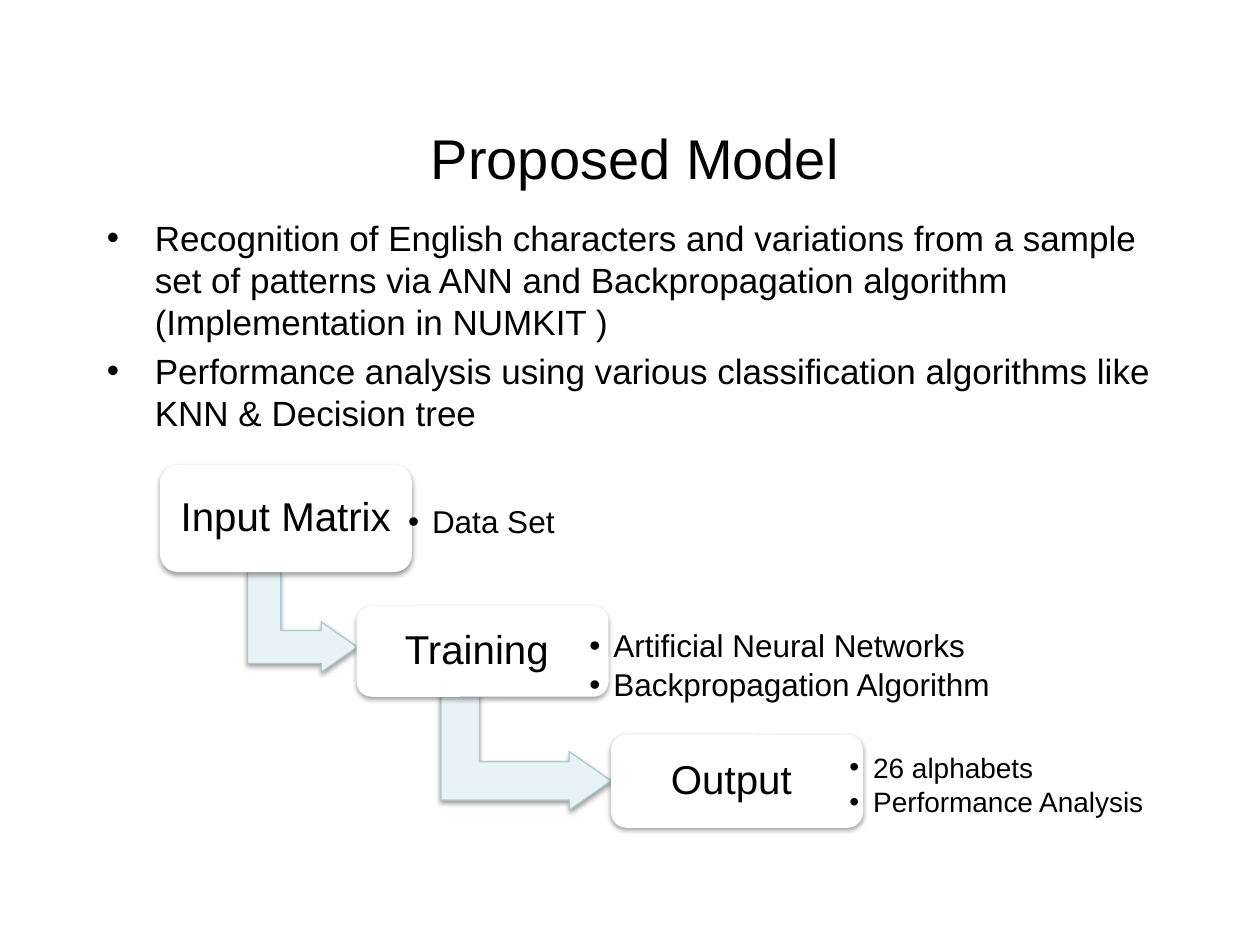
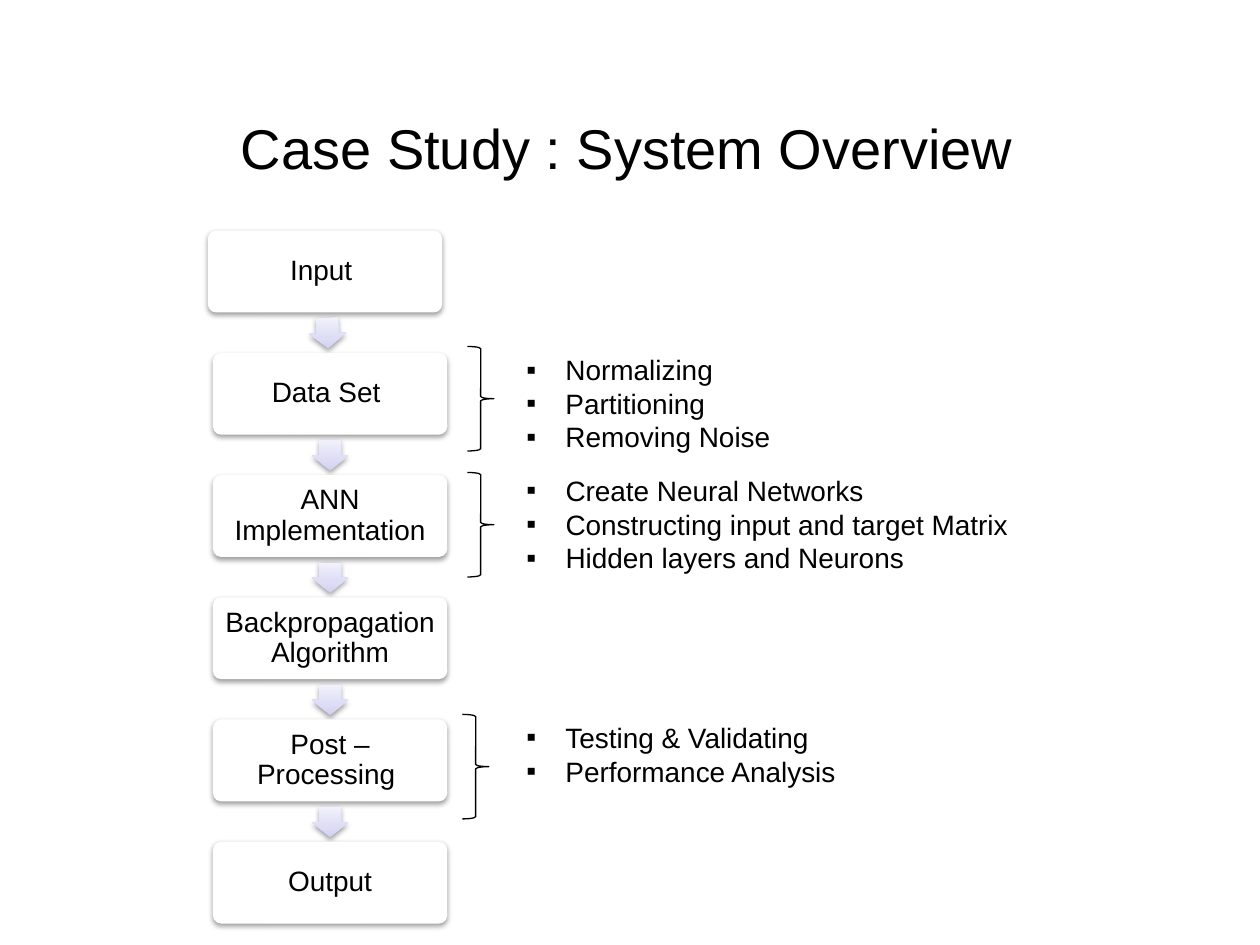
from dataclasses import dataclass
from math import atan2, degrees

from lxml.etree import SubElement
from pptx import Presentation
from pptx.dml.color import RGBColor
from pptx.enum.shapes import MSO_SHAPE as Preset
from pptx.enum.text import MSO_ANCHOR as Anchor
from pptx.enum.text import MSO_AUTO_SIZE as AutoSize
from pptx.enum.text import PP_ALIGN as Align
from pptx.oxml.ns import qn
from pptx.util import Inches, Pt


@dataclass(frozen=True)
class Theme:
    font: str = "Arial"
    ink: str = "000000"
    card: str = "FFFFFF"
    bend: str = "E7F3F4"
    bend_edge: str = "AACBCE"
    flow_stops: tuple = ((0, "D0D0F2"), (35, "DDDDF5"), (100, "F1F1FC"))
    hairline: float = 0.75
    title: int = 32
    body: int = 20
    stage: int = 23
    detail: int = 18
    small: int = 16


THEME = Theme()
COLUMNS, ROWS = 100, 75
CELL = 0.1
TITLE_ONLY = 5


def grid(cells):
    return Inches(cells * CELL)


def area(left, top, width, height):
    return [grid(cells) for cells in (left, top, width, height)]


def add_node(parent, tag, **attributes):
    node = SubElement(parent, qn(tag))
    for key, value in attributes.items():
        node.set(key, str(value))
    return node


def write(paragraph, text, size):
    run = paragraph.add_run()
    run.text = text
    run.font.name = THEME.font
    run.font.size = Pt(size)
    run.font.color.rgb = RGBColor.from_string(THEME.ink)


def set_frame(frame, anchor, inset=None):
    frame.word_wrap = True
    frame.auto_size = AutoSize.NONE
    frame.vertical_anchor = anchor
    if inset is not None:
        frame.margin_left = frame.margin_right = grid(inset)
        frame.margin_top = frame.margin_bottom = grid(inset)


def add_titled_slide(deck, text, top):
    slide = deck.slides.add_slide(deck.slide_layouts[TITLE_ONLY])
    title = slide.shapes.title
    title.left, title.top, title.width, title.height = area(7.5, top, 85.8, 8.3)
    set_frame(title.text_frame, Anchor.MIDDLE)
    heading = title.text_frame.paragraphs[0]
    heading.alignment = Align.CENTER
    write(heading, text, THEME.title)
    return slide


def add_bullets(slide, place, items, size, mark="•", indent=1.9, inset=None,
                anchor=Anchor.TOP, line=1.0, lead=0, gap=0):
    frame = slide.shapes.add_textbox(*area(*place)).text_frame
    set_frame(frame, anchor, inset)
    for index, item in enumerate(items):
        paragraph = frame.add_paragraph() if index else frame.paragraphs[0]
        paragraph.line_spacing = line
        paragraph.space_before = Pt(size * (gap if index else lead))
        properties = paragraph._p.get_or_add_pPr()
        properties.set("marL", str(grid(indent)))
        properties.set("indent", str(-grid(indent)))
        add_node(properties, "a:buFont", typeface=THEME.font)
        add_node(properties, "a:buChar", char=mark)
        write(paragraph, item, size)


def add_details(slide, place, items, size, inset):
    add_bullets(slide, place, items, size, inset=inset, anchor=Anchor.MIDDLE,
                line=0.9, gap=0.15)


def add_preset(slide, preset, place, adjustments=(), fill=None, edge=None):
    shape = slide.shapes.add_shape(preset, *area(*place))
    for index, value in enumerate(adjustments):
        shape.adjustments[index] = value
    if fill:
        shape.fill.solid()
        shape.fill.fore_color.rgb = RGBColor.from_string(fill)
    else:
        shape.fill.background()
    if edge:
        shape.line.color.rgb = RGBColor.from_string(edge)
        shape.line.width = Pt(THEME.hairline)
    else:
        shape.line.fill.background()
    shape.shadow.inherit = False
    return shape


def drop_shadow(shape):
    effects = shape.element.spPr.find(qn("a:effectLst"))
    shadow = add_node(effects, "a:outerShdw", blurRad=Pt(3.1), dist=Pt(1.6),
                      dir=90 * 60000, rotWithShape=0)
    color = add_node(shadow, "a:srgbClr", val=THEME.ink)
    add_node(color, "a:alpha", val=38000)


def shade_upward(shape):
    properties = shape.element.spPr
    properties.remove(properties.find(qn("a:noFill")))
    gradient = add_node(properties, "a:gradFill", rotWithShape=0)
    properties.find(qn("a:prstGeom")).addnext(gradient)
    stops = add_node(gradient, "a:gsLst")
    for share, color in THEME.flow_stops:
        stop = add_node(stops, "a:gs", pos=share * 1000)
        add_node(stop, "a:srgbClr", val=color)
    add_node(gradient, "a:lin", ang=270 * 60000, scaled=0)


def add_card(slide, place, text, size, corner, inset):
    card = add_preset(slide, Preset.ROUNDED_RECTANGLE, place, [corner], THEME.card)
    drop_shadow(card)
    set_frame(card.text_frame, Anchor.MIDDLE, inset)
    label = card.text_frame.paragraphs[0]
    label.alignment = Align.CENTER
    label.line_spacing = 0.9
    write(label, text, size)


def add_bend(slide, place):
    bend = add_preset(slide, Preset.BENT_UP_ARROW, place, [0.328, 0.25, 0.358],
                      THEME.bend, THEME.bend_edge)
    bend.rotation = 90
    drop_shadow(bend)


def add_flow_arrow(slide, left, top, angle):
    arrow = add_preset(slide, Preset.RIGHT_ARROW, (left, top, 2.4, 2.9), [0.6, 0.5])
    arrow.rotation = angle
    shade_upward(arrow)
    drop_shadow(arrow)


def build_proposed_model(deck):
    slide = add_titled_slide(deck, "Proposed Model", 8.3)
    goals = [
        "Recognition of English characters and variations from a sample set of "
        "patterns via ANN and Backpropagation algorithm (Implementation in NUMKIT )",
        "Performance analysis using various classification algorithms like "
        "KNN & Decision tree",
    ]
    add_bullets(slide, (7.5, 16.7, 85.8, 54.2), goals, THEME.body, indent=3.8,
                lead=0.2, gap=0.2)

    stages = [
        ("Input Matrix", (12.7, 36.9, 20, 8.5), (20, 45, 8, 8.7),
         ["Data Set"], (31.4, 35.9, 36.2, 11.3), THEME.detail, 1),
        ("Training ", (28.3, 48.1, 20, 7.2), (37.1, 52.9, 9.3, 13.5),
         ["Artificial Neural Networks", "Backpropagation Algorithm"],
         (45.8, 47.3, 50.6, 11.3), THEME.detail, 1),
        ("Output ", (48.5, 58.3, 20, 7.4), None,
         ["26 alphabets", "Performance Analysis"],
         (66.7, 58.1, 30.9, 8.6), THEME.small, 0.7),
    ]
    for name, card, bend, details, details_place, size, inset in stages:
        if bend:
            add_bend(slide, bend)
        add_card(slide, card, name, THEME.stage, corner=0.167, inset=1)
        add_details(slide, details_place, details, size, inset)


def build_system_overview(deck):
    slide = add_titled_slide(deck, "Case Study : System Overview ", 7.5)
    steps = ["Input ", "Data Set ", "ANN Implementation",
             "Backpropagation Algorithm", "Post – Processing ", "Output"]
    first_top, pitch = 18.3, 9.7
    lefts = [16.5] + [16.9] * (len(steps) - 1)
    tops = [first_top + pitch * index for index in range(len(steps))]
    for index, step in enumerate(steps):
        if index:
            before, here = lefts[index - 1], lefts[index]
            add_flow_arrow(slide, (before + here) / 2 + 8.1, tops[index - 1] + 6.7,
                           degrees(atan2(pitch, here - before)))
        add_card(slide, (lefts[index], tops[index], 18.6, 6.5), step,
                 THEME.small, corner=0.1, inset=0.7)

    tasks = [
        (27.5, ["Normalizing", "Partitioning", "Removing Noise"], 53.3, (37.1, 27.5)),
        (37.1, ["Create Neural Networks", "Constructing input and target Matrix",
                "Hidden layers and Neurons"], 43.9, (37.1, 37.5)),
        (56.7, ["Testing & Validating", "Performance Analysis"], 35, (36.7, 56.7)),
    ]
    for top, items, width, brace_corner in tasks:
        add_bullets(slide, (40.8, top, width, 1 + 2.7 * len(items)), items,
                    THEME.small, mark="▪", indent=3.1)
        add_preset(slide, Preset.RIGHT_BRACE, (*brace_corner, 2.1, 8.3),
                   edge=THEME.ink)


def main():
    deck = Presentation()
    deck.slide_width, deck.slide_height = grid(COLUMNS), grid(ROWS)
    build_proposed_model(deck)
    build_system_overview(deck)
    deck.save("out.pptx")


if __name__ == "__main__":
    main()
